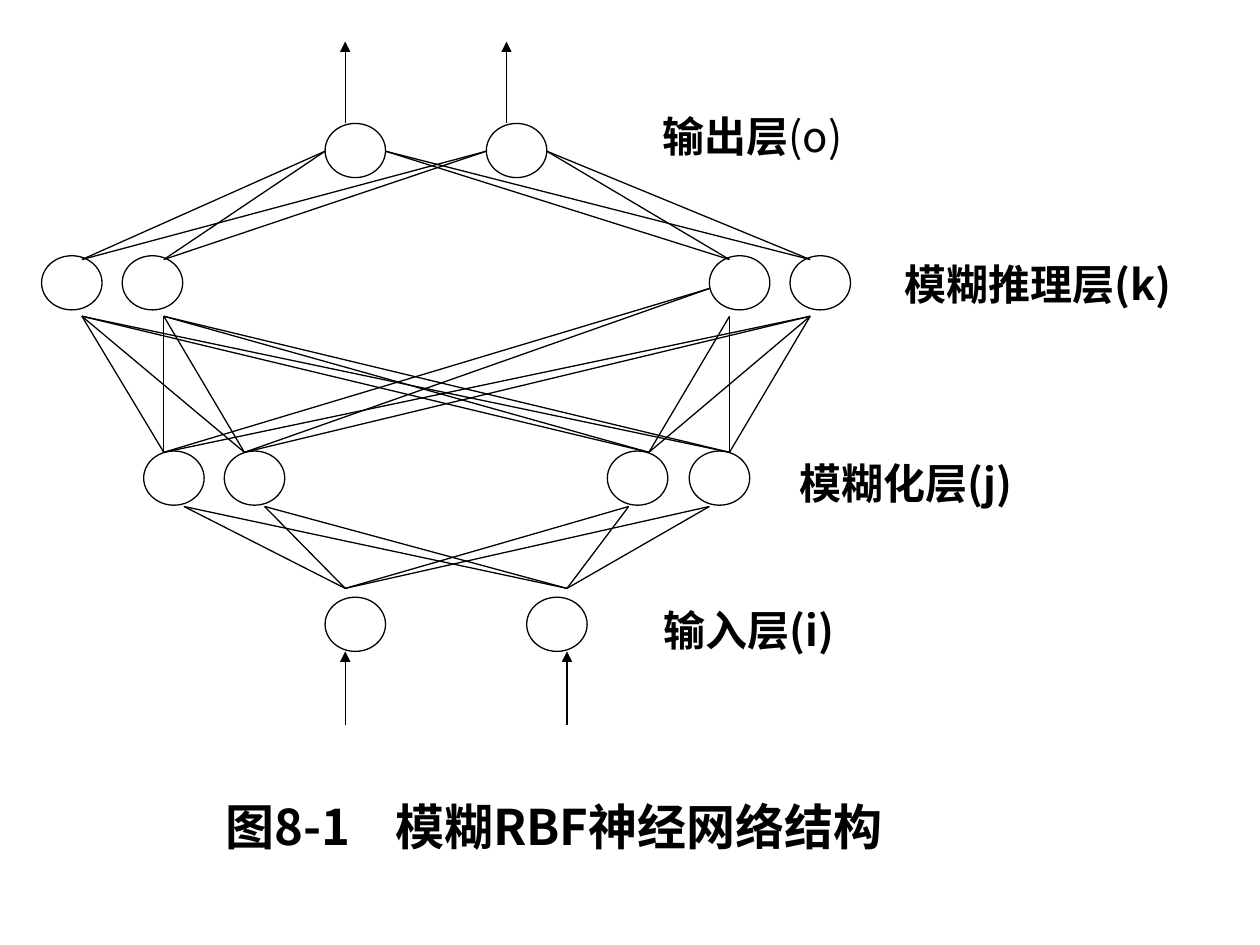
"""Draw the layered structure of a fuzzy RBF neural network."""
from dataclasses import dataclass
from itertools import product

from lxml import etree
from pptx import Presentation
from pptx.dml.color import RGBColor
from pptx.enum.shapes import MSO_CONNECTOR, MSO_SHAPE
from pptx.oxml.ns import qn
from pptx.util import Inches, Pt

STRAIGHT = MSO_CONNECTOR.STRAIGHT
OVAL = MSO_SHAPE.OVAL


@dataclass(frozen=True)
class Theme:
    ink: RGBColor = RGBColor(0, 0, 0)
    paper: RGBColor = RGBColor(255, 255, 255)
    font: str = "Noto Sans CJK SC"
    label_size: Pt = Pt(24)
    caption_size: Pt = Pt(28)
    stroke: Pt = Pt(0.75)
    node_width: float = 0.48
    node_height: float = 0.43


class NetworkSlide:
    def __init__(self, slide, theme):
        self.slide = slide
        self.theme = theme
        self.network = slide.shapes.add_group_shape().shapes

    def outline(self, part):
        part.line.color.rgb = self.theme.ink
        part.line.width = self.theme.stroke

    def layer(self, lefts, top):
        for left in lefts:
            neuron = self.network.add_shape(
                OVAL, Inches(left), Inches(top),
                Inches(self.theme.node_width), Inches(self.theme.node_height))
            neuron.shadow.inherit = False
            neuron.fill.solid()
            neuron.fill.fore_color.rgb = self.theme.paper
            self.outline(neuron)

    def link(self, start, end, arrow=False):
        link = self.network.add_connector(
            STRAIGHT, *(Inches(value) for value in (*start, *end)))
        self.outline(link)
        if arrow:
            etree.SubElement(link.line._get_or_add_ln(), qn("a:tailEnd"), type="triangle")
        etree.SubElement(link._element.spPr, qn("a:effectLst"))

    def connect(self, starts, ends):
        for start, end in product(starts, ends):
            self.link(start, end)

    def text(self, left, top, width, height, runs, size, tab=None):
        box = self.slide.shapes.add_textbox(*(Inches(v) for v in (left, top, width, height)))
        box.text_frame.word_wrap = True
        paragraph = box.text_frame.paragraphs[0]
        if tab:
            stops = etree.SubElement(paragraph._p.get_or_add_pPr(), qn("a:tabLst"))
            etree.SubElement(stops, qn("a:tab"), pos=str(Inches(tab)), algn="l")
        for words, bold in runs:
            run = paragraph.add_run()
            run.text = words
            style = {"size": size, "bold": bold, "name": self.theme.font}
            for attribute, value in style.items():
                setattr(run.font, attribute, value)
            run.font.color.rgb = self.theme.ink
            etree.SubElement(run._r.get_or_add_rPr(), qn("a:ea"), typeface=self.theme.font)


def points(xs, y):
    return [(x, y) for x in xs]


def main():
    deck = Presentation()
    deck.slide_width, deck.slide_height = Inches(10), Inches(7.5)
    theme = Theme()
    page = NetworkSlide(deck.slides.add_slide(deck.slide_layouts[6]), theme)

    layers = [
        ([2.58, 3.86], 0.98),
        ([0.33, 0.97, 5.63, 6.27], 2.03),
        ([1.14, 1.78, 4.82, 5.47], 3.58),
        ([2.58, 4.18], 4.74),
    ]
    for lefts, top in layers:
        page.layer(lefts, top)

    signals = [([2.74, 4.02], 0.98, 0.33), ([2.74, 4.5], 5.75, 5.17)]
    for xs, start, end in signals:
        for x in xs:
            page.link((x, start), (x, end), arrow=True)

    rules_left, rules_right = [0.65, 1.3], [5.79, 6.43]
    fuzzy_left, fuzzy_right = [1.3, 1.94], [5.15, 5.79]
    connections = [
        (points(rules_left, 2.06), points([2.58, 3.86], 1.2)),
        (points(rules_right, 2.06), points([3.06, 4.34], 1.2)),
        (points(fuzzy_left, 3.59), points(rules_left, 2.51) + [(5.63, 2.29), (6.43, 2.51)]),
        (points(fuzzy_right, 3.59), points(rules_left + rules_right, 2.51)),
        (points([2.74, 4.5], 4.67), points([1.46, 2.1, 4.99, 5.63], 4.02)),
    ]
    for starts, ends in connections:
        page.connect(starts, ends)

    labels = [
        (5.16, 0.83, 2.17, [("输出层", True), ("(o)", False)]),
        (7.08, 2, 2.42, [("模糊推理层(k)", True)]),
        (6.25, 3.58, 2.17, [("模糊化层(j)", True)]),
        (5.17, 4.75, 1.75, [("输入层(i)", True)]),
    ]
    for left, top, width, runs in labels:
        page.text(left, top, width, 0.5, runs, theme.label_size)
    page.text(1.69, 6.27, 6.17, 0.57, [("图8-1\t模糊RBF神经网络结构", True)],
              theme.caption_size, tab=1.35)

    deck.save("out.pptx")


if __name__ == "__main__":
    main()
